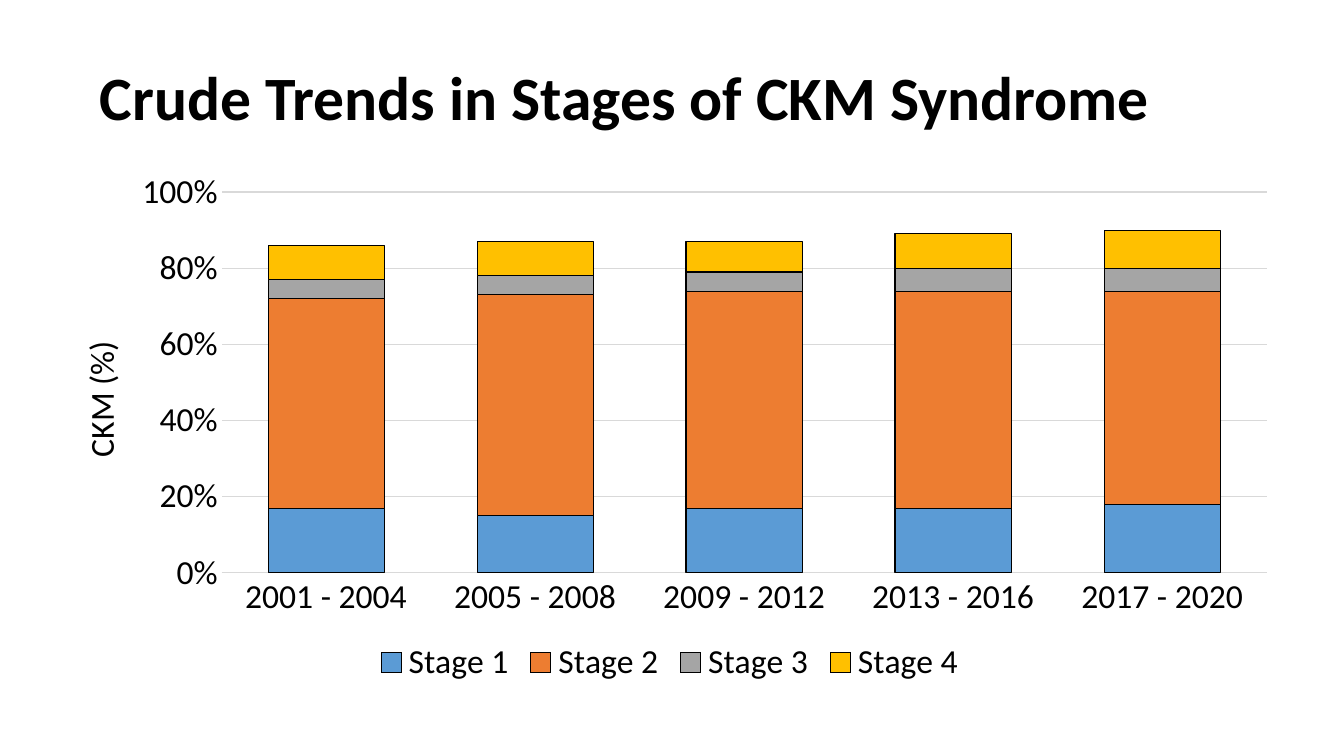
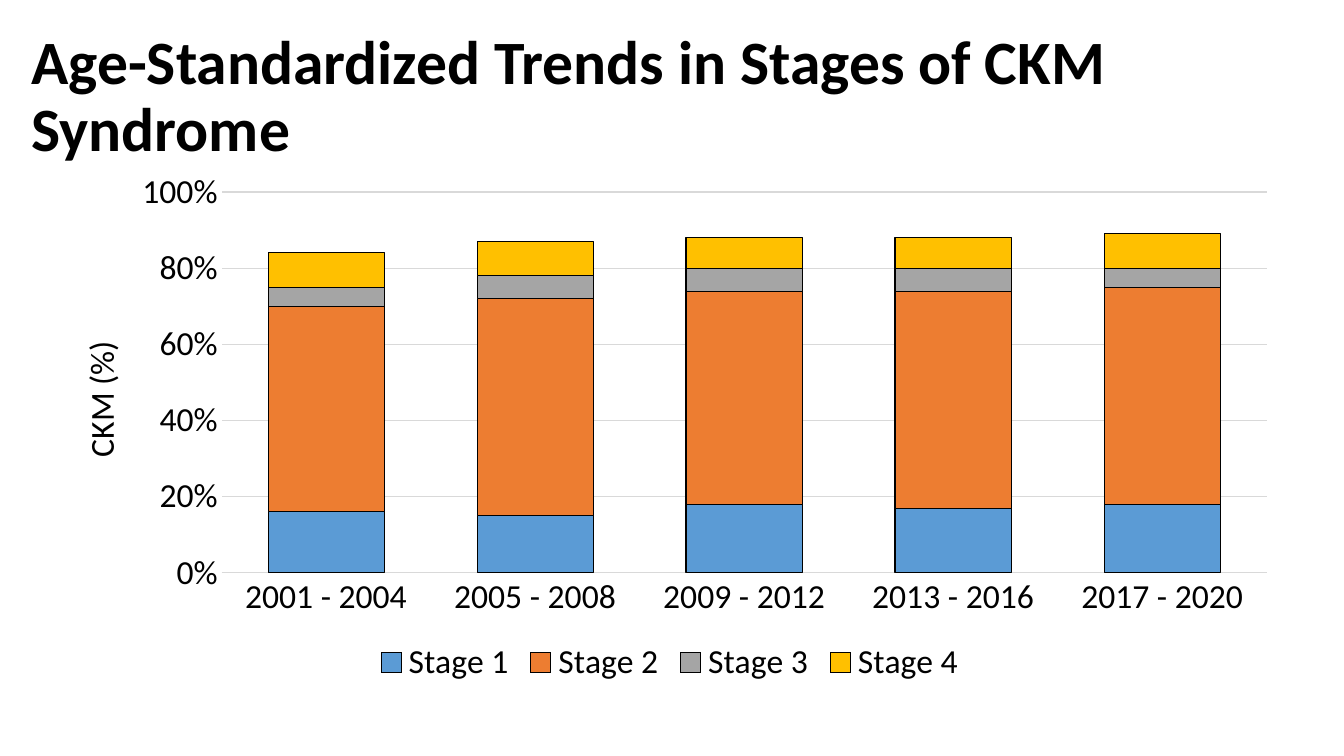
from dataclasses import dataclass

from pptx import Presentation
from pptx.chart.data import CategoryChartData
from pptx.dml.color import RGBColor
from pptx.enum.chart import XL_CHART_TYPE, XL_LEGEND_POSITION, XL_TICK_MARK
from pptx.enum.text import MSO_ANCHOR, MSO_AUTO_SIZE, PP_ALIGN
from pptx.oxml import parse_xml
from pptx.oxml.ns import nsdecls, qn
from pptx.util import Inches, Pt


@dataclass(frozen=True)
class Theme:
    font: str = "Calibri"
    text: str = "000000"
    grid: str = "D9D9D9"
    stages: tuple = ("5B9BD5", "ED7D31", "A5A5A5", "FFC000")
    title_size: int = 44
    chart_size: int = 24
    line_width: float = 0.75


THEME = Theme()
PERIODS = ["2001 - 2004", "2005 - 2008", "2009 - 2012", "2013 - 2016", "2017 - 2020"]
AXIS_TITLE = "CKM (%)"
CHART_BOX = (0.47, 1.59, 12.34, 5.25)
PLOT_LAYOUT = {"x": 0.14, "y": 0.06, "w": 0.84, "h": 0.72}
AXIS_TITLE_LAYOUT = {"x": 0.02, "y": 0.33}

SLIDES = [
    {
        "title": "Crude Trends in Stages of CKM Syndrome",
        "title_box": (0.89, 0.27, 11.5, 1.45),
        "stages": {
            "Stage 1": (0.17, 0.15, 0.17, 0.17, 0.18),
            "Stage 2": (0.55, 0.58, 0.57, 0.57, 0.56),
            "Stage 3": (0.05, 0.05, 0.05, 0.06, 0.06),
            "Stage 4": (0.09, 0.09, 0.08, 0.09, 0.1),
        },
    },
    {
        "title": "Age-Standardized Trends in Stages of CKM Syndrome",
        "title_box": (0.21, 0.25, 12.92, 1.45),
        "stages": {
            "Stage 1": (0.16, 0.15, 0.18, 0.17, 0.18),
            "Stage 2": (0.54, 0.57, 0.56, 0.57, 0.57),
            "Stage 3": (0.05, 0.06, 0.06, 0.06, 0.05),
            "Stage 4": (0.09, 0.09, 0.08, 0.08, 0.09),
        },
    },
]


def style_font(font, size, bold=False):
    font.name = THEME.font
    font.size = Pt(size)
    font.bold = bold
    font.color.rgb = RGBColor.from_string(THEME.text)


def style_line(line, color):
    line.color.rgb = RGBColor.from_string(color)
    line.width = Pt(THEME.line_width)


def set_layout(parent, position, layout, target=""):
    for existing in parent.findall(qn("c:layout")):
        parent.remove(existing)
    modes = "".join(f'<c:{key}Mode val="edge"/>' for key in "xy")
    values = "".join(f'<c:{key} val="{value}"/>' for key, value in layout.items())
    parent.insert(position, parse_xml(
        f'<c:layout {nsdecls("c")}><c:manualLayout>{target}{modes}{values}'
        "</c:manualLayout></c:layout>"))


def fill_title(title, text, box):
    title.left, title.top, title.width, title.height = map(Inches, box)
    frame = title.text_frame
    frame.text = text
    frame.word_wrap = True
    frame.auto_size = MSO_AUTO_SIZE.NONE
    frame.vertical_anchor = MSO_ANCHOR.MIDDLE
    paragraph = frame.paragraphs[0]
    paragraph.alignment = PP_ALIGN.LEFT
    paragraph.line_spacing = 0.9
    style_font(paragraph.runs[0].font, THEME.title_size, bold=True)


def style_axes(chart):
    for axis in (chart.category_axis, chart.value_axis):
        axis.major_tick_mark = XL_TICK_MARK.NONE
        axis.minor_tick_mark = XL_TICK_MARK.NONE
        style_font(axis.tick_labels.font, THEME.chart_size)
    style_line(chart.category_axis.format.line, THEME.grid)

    value_axis = chart.value_axis
    value_axis.minimum_scale = 0
    value_axis.maximum_scale = 1
    value_axis.major_unit = 0.2
    value_axis.tick_labels.number_format = "0%"
    value_axis.tick_labels.number_format_is_linked = False
    value_axis.format.line.fill.background()
    style_line(value_axis.major_gridlines.format.line, THEME.grid)

    frame = value_axis.axis_title.text_frame
    frame.text = AXIS_TITLE
    style_font(frame.paragraphs[0].runs[0].font, THEME.chart_size)
    title_element = value_axis.axis_title._element
    body = next(title_element.iter(qn("a:bodyPr")))
    body.set("rot", "-5400000")
    body.set("vert", "horz")
    set_layout(title_element, 1, AXIS_TITLE_LAYOUT)


def add_stage_chart(slide, stages):
    data = CategoryChartData(number_format="0%")
    data.categories = PERIODS
    for name, values in stages.items():
        data.add_series(name, values)
    chart = slide.shapes.add_chart(
        XL_CHART_TYPE.COLUMN_STACKED, *map(Inches, CHART_BOX), data).chart
    chart.has_title = False
    style_font(chart.font, THEME.chart_size)

    plot = chart.plots[0]
    plot.gap_width = 80
    plot.overlap = 100
    plot.vary_by_categories = False
    for series, color in zip(plot.series, THEME.stages):
        series.format.fill.solid()
        series.format.fill.fore_color.rgb = RGBColor.from_string(color)
        style_line(series.format.line, THEME.text)

    style_axes(chart)
    chart.has_legend = True
    chart.legend.position = XL_LEGEND_POSITION.BOTTOM
    chart.legend.include_in_layout = False
    style_font(chart.legend.font, THEME.chart_size)
    plot_area = next(chart._chartSpace.iter(qn("c:plotArea")))
    set_layout(plot_area, 0, PLOT_LAYOUT, '<c:layoutTarget val="inner"/>')


def main():
    presentation = Presentation()
    presentation.slide_width = Inches(13.33)
    presentation.slide_height = Inches(7.5)
    title_only = presentation.slide_layouts[5]
    for content in SLIDES:
        slide = presentation.slides.add_slide(title_only)
        fill_title(slide.shapes.title, content["title"], content["title_box"])
        add_stage_chart(slide, content["stages"])
    presentation.save("out.pptx")


if __name__ == "__main__":
    main()
